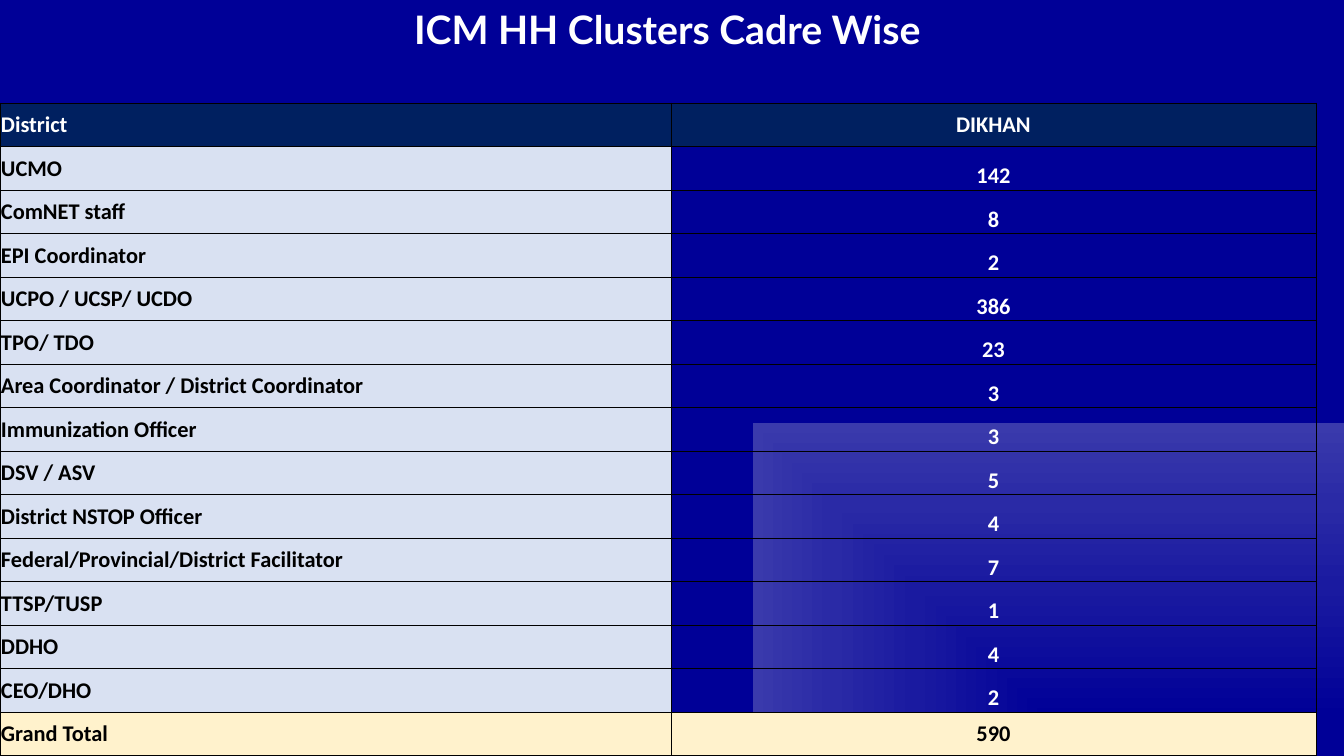
from lxml import etree
from pptx import Presentation
from pptx.dml.color import RGBColor
from pptx.enum.text import MSO_ANCHOR, MSO_AUTO_SIZE, PP_ALIGN
from pptx.oxml import parse_xml
from pptx.oxml.ns import nsdecls, qn
from pptx.util import Pt

LEFT, CENTER = PP_ALIGN.LEFT, PP_ALIGN.CENTER
MIDDLE, BOTTOM = MSO_ANCHOR.MIDDLE, MSO_ANCHOR.BOTTOM
GROW = MSO_AUTO_SIZE.SHAPE_TO_FIT_TEXT

TITLE = "ICM HH Clusters Cadre Wise "
HEAD = ("District", "DIKHAN")
CADRES = [
    ("UCMO", 142),
    ("ComNET staff", 8),
    ("EPI Coordinator", 2),
    ("UCPO / UCSP/ UCDO", 386),
    ("TPO/ TDO", 23),
    ("Area Coordinator / District Coordinator", 3),
    ("Immunization Officer", 3),
    ("DSV / ASV", 5),
    ("District NSTOP Officer", 4),
    ("Federal/Provincial/District Facilitator", 7),
    ("TTSP/TUSP", 1),
    ("DDHO", 4),
    ("CEO/DHO", 2),
]
TOTAL = ("Grand Total", 590)

WHITE, BLACK = "FFFFFF", "000000"
NAVY, PALE, CREAM = "002060", "D9E1F2", "FFF2CC"
STOPS = [(10, "000097"), (45, "1A1AA0"), (67, "2A2AA6"),
         (88, "3A3AAC"), (88, "000097")]

WIDE, HIGH = 1344, 756
TOP = 103
COLS = (671, 645)


def px(n):
    return round(n * 12192000 / WIDE)


def color(code):
    return RGBColor.from_string(code)


def style(frame, align, font, size, code):
    para = frame.paragraphs[0]
    para.alignment = align
    face = para.runs[0].font
    face.name, face.size, face.bold = font, Pt(size), True
    face.color.rgb = color(code)


def paint(slide):
    """Give the slide a rectangular gradient centred on its lower right corner."""
    slide.background.fill.gradient()
    old = slide.element.find(".//" + qn("a:gradFill"))
    stops = "".join(f'<a:gs pos="{at * 1000}"><a:srgbClr val="{code}"/></a:gs>'
                    for at, code in STOPS)
    new = parse_xml(
        f'<a:gradFill {nsdecls("a")} rotWithShape="1"><a:gsLst>{stops}</a:gsLst>'
        '<a:path path="rect"><a:fillToRect l="100000" t="100000"/></a:path>'
        '</a:gradFill>')
    old.getparent().replace(old, new)


def border(cell):
    props = cell._tc.get_or_add_tcPr()
    for at, side in enumerate(("lnL", "lnR", "lnT", "lnB")):
        line = etree.Element(qn("a:" + side), w=str(Pt(0.5)))
        fill = etree.SubElement(line, qn("a:solidFill"))
        etree.SubElement(fill, qn("a:srgbClr"), val=BLACK)
        props.insert(at, line)


def fill_cell(cell, value, align, anchor, ink, back):
    cell.margin_left = cell.margin_right = cell.margin_top = px(1)
    cell.margin_bottom = 0
    cell.vertical_anchor = anchor
    cell.text_frame.text = str(value)
    style(cell.text_frame, align, "Calibri", 16, ink)
    if back:
        cell.fill.solid()
        cell.fill.fore_color.rgb = color(back)
    else:
        cell.fill.background()
    border(cell)


def add_grid(slide):
    rows = [HEAD, *CADRES, TOTAL]
    count = len(rows)
    grid = slide.shapes.add_table(count, len(COLS), 0, px(TOP),
                                  px(sum(COLS)), px(HIGH - TOP)).table
    grid.first_row = grid.horz_banding = False
    for col, width in zip(grid.columns, COLS):
        col.width = px(width)
    # Each look: anchor, text colour, fill
    head = [(MIDDLE, WHITE, NAVY)] * 2
    body = [(MIDDLE, BLACK, PALE), (BOTTOM, WHITE, None)]
    total = [(MIDDLE, BLACK, CREAM)] * 2
    looks = [head, *[body] * len(CADRES), total]
    for r, (row, look) in enumerate(zip(rows, looks)):
        grid.rows[r].height = px((HIGH - TOP) / count)
        for c, align in enumerate((LEFT, CENTER)):
            fill_cell(grid.cell(r, c), row[c], align, *look[c])


def add_title(slide):
    frame = slide.shapes.add_textbox(0, 0, px(WIDE), px(57)).text_frame
    frame.word_wrap = True
    frame.auto_size = GROW
    frame.text = TITLE
    style(frame, CENTER, "Lato", 28, WHITE)


def main():
    deck = Presentation()
    deck.slide_width, deck.slide_height = px(WIDE), px(HIGH)
    slide = deck.slides.add_slide(deck.slide_layouts[6])
    paint(slide)
    add_grid(slide)
    add_title(slide)
    deck.save("out.pptx")


if __name__ == "__main__":
    main()
